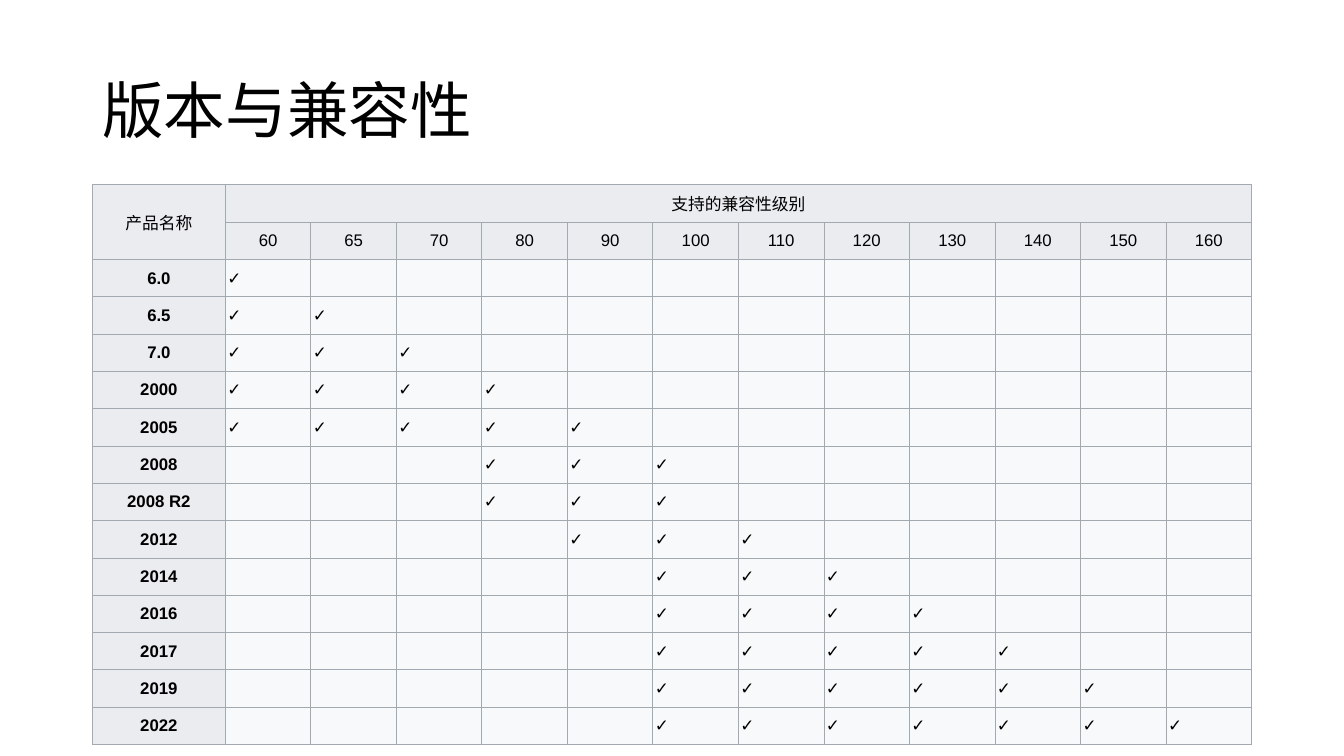
from dataclasses import dataclass

from lxml.etree import SubElement
from pptx import Presentation
from pptx.dml.color import RGBColor
from pptx.enum.text import MSO_ANCHOR, PP_ALIGN
from pptx.oxml.ns import qn
from pptx.slide import Slide
from pptx.table import Table, _Cell as Cell
from pptx.text.text import _Paragraph as Paragraph
from pptx.util import Cm, Pt

BLACK = RGBColor(0x00, 0x00, 0x00)
HEADER_FILL = RGBColor(0xEA, 0xEC, 0xF0)
BODY_FILL = RGBColor(0xF8, 0xF9, 0xFA)
BORDER_COLOR = RGBColor(0xA2, 0xA9, 0xB1)
FONT = "Arial"
CHECK = "✓"

LEFT = Cm(2.33)
CONTENT_WIDTH = Cm(29.21)
TABLE_TOP = Cm(4.66)
NAME_WIDTH = Cm(3.35)
ROW_HEIGHT = Cm(0.94)
HEADER_ROWS = 2
LEVELS = (60, 65, 70, 80, 90, 100, 110, 120, 130, 140, 150, 160)


@dataclass(frozen=True)
class Version:
    name: str
    lowest: int
    highest: int

    def supports(self, level: int) -> bool:
        return self.lowest <= level <= self.highest


VERSIONS = (
    Version("6.0", 60, 60),
    Version("6.5", 60, 65),
    Version("7.0", 60, 70),
    Version("2000", 60, 80),
    Version("2005", 60, 90),
    Version("2008", 80, 100),
    Version("2008 R2", 80, 100),
    Version("2012", 90, 110),
    Version("2014", 100, 120),
    Version("2016", 100, 130),
    Version("2017", 100, 140),
    Version("2019", 100, 150),
    Version("2022", 100, 160),
)


def add_run(paragraph: Paragraph, text: str, size: float, bold: bool = False) -> None:
    run = paragraph.add_run()
    run.text = text
    run.font.name = FONT
    run.font.size = Pt(size)
    run.font.bold = bold
    run.font.color.rgb = BLACK


def add_title(slide: Slide, text: str) -> None:
    frame = slide.shapes.add_textbox(LEFT, Cm(1.01), CONTENT_WIDTH, Cm(3.68)).text_frame
    frame.word_wrap = True
    frame.vertical_anchor = MSO_ANCHOR.MIDDLE
    paragraph = frame.paragraphs[0]
    paragraph.line_spacing = 0.9
    add_run(paragraph, text, 44)


def style_cell(cell: Cell, fill: RGBColor) -> None:
    cell.margin_left = cell.margin_right = Cm(0.05)
    cell.margin_top = cell.margin_bottom = Cm(0.03)
    cell.vertical_anchor = MSO_ANCHOR.MIDDLE
    properties = cell._tc.get_or_add_tcPr()
    for side in ("a:lnL", "a:lnR", "a:lnT", "a:lnB"):
        line = SubElement(properties, qn(side), w=str(Pt(0.75)))
        solid = SubElement(line, qn("a:solidFill"))
        SubElement(solid, qn("a:srgbClr"), val=str(BORDER_COLOR))
    cell.fill.solid()
    cell.fill.fore_color.rgb = fill


def write_header(cell: Cell, text: str, bold: bool = False) -> None:
    paragraph = cell.text_frame.paragraphs[0]
    paragraph.alignment = PP_ALIGN.CENTER
    add_run(paragraph, text, 12, bold)


def add_grid(slide: Slide) -> Table:
    row_count = HEADER_ROWS + len(VERSIONS)
    table = slide.shapes.add_table(
        row_count, 1 + len(LEVELS), LEFT, TABLE_TOP, CONTENT_WIDTH, ROW_HEIGHT * row_count
    ).table
    for row in table.rows:
        row.height = ROW_HEIGHT
    for index, column in enumerate(table.columns):
        column.width = (CONTENT_WIDTH - NAME_WIDTH) // len(LEVELS) if index else NAME_WIDTH
    for row_index in range(row_count):
        for column_index in range(1 + len(LEVELS)):
            is_header = row_index < HEADER_ROWS or column_index == 0
            style_cell(table.cell(row_index, column_index), HEADER_FILL if is_header else BODY_FILL)
    return table


def add_compatibility_table(slide: Slide) -> None:
    table = add_grid(slide)
    table.cell(0, 0).merge(table.cell(1, 0))
    table.cell(0, 1).merge(table.cell(0, len(LEVELS)))
    write_header(table.cell(0, 0), "产品名称")
    write_header(table.cell(0, 1), "支持的兼容性级别")
    for column_index, level in enumerate(LEVELS, start=1):
        write_header(table.cell(1, column_index), str(level))
    for row_index, version in enumerate(VERSIONS, start=HEADER_ROWS):
        write_header(table.cell(row_index, 0), version.name, bold=True)
        for column_index, level in enumerate(LEVELS, start=1):
            if version.supports(level):
                add_run(table.cell(row_index, column_index).text_frame.paragraphs[0], CHECK, 12)


presentation = Presentation()
presentation.slide_width = Cm(33.87)
presentation.slide_height = Cm(19.05)
slide = presentation.slides.add_slide(presentation.slide_layouts[6])
add_title(slide, "版本与兼容性")
add_compatibility_table(slide)
presentation.save("out.pptx")
